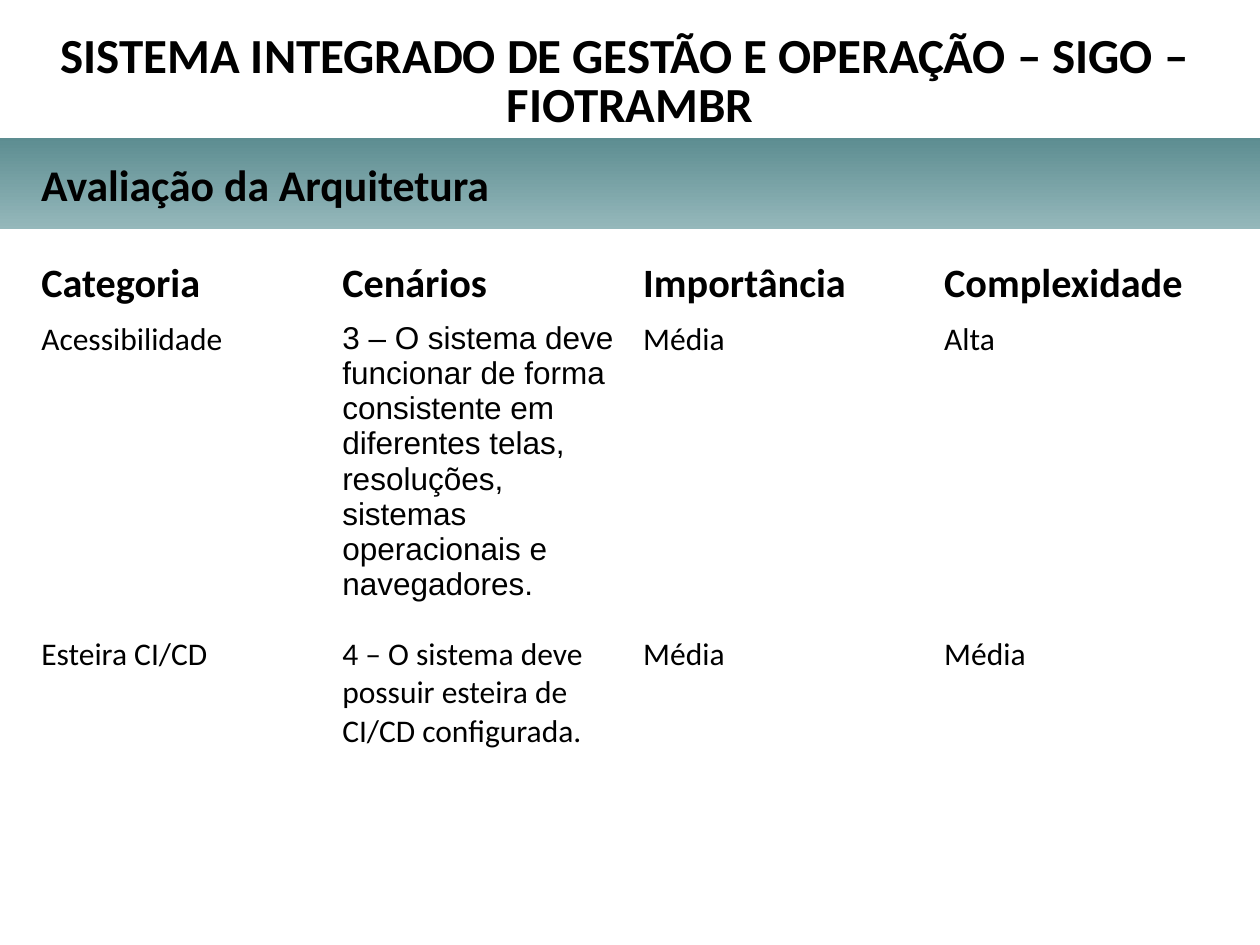
from lxml import etree
from pptx import Presentation
from pptx.dml.color import RGBColor
from pptx.enum import shapes, text
from pptx.oxml import ns
from pptx.util import Pt

BLACK = RGBColor(0x00, 0x00, 0x00)
TEAL_LIGHT = RGBColor(0x95, 0xB8, 0xBB)
TEAL_DARK = RGBColor(0x5D, 0x8D, 0x91)
WHITE = RGBColor(0xFF, 0xFF, 0xFF)


def add_text(paragraph, content, size, bold=False, font="Calibri"):
    run = paragraph.add_run()
    run.text = content
    run.font.name = font
    run.font.size = Pt(size)
    run.font.bold = bold
    run.font.color.rgb = BLACK


def set_border(cell, side, width):
    line = etree.SubElement(cell._tc.get_or_add_tcPr(), ns.qn("a:" + side), w=str(Pt(width)))
    fill = etree.SubElement(line, ns.qn("a:solidFill"))
    etree.SubElement(fill, ns.qn("a:srgbClr"), val=str(WHITE))


presentation = Presentation()
presentation.slide_width, presentation.slide_height = Pt(720), Pt(540)
slide = presentation.slides.add_slide(presentation.slide_layouts[6])

# Gradient band
band = slide.shapes.add_shape(shapes.MSO_SHAPE.RECTANGLE, Pt(0), Pt(79), Pt(720), Pt(52))
band.shadow.inherit = False
band.line.fill.background()
band.fill.gradient()
band.fill.gradient_angle = 90
for stop, color, position in zip(band.fill.gradient_stops, (TEAL_LIGHT, TEAL_DARK), (0, 1)):
    stop.color.rgb = color
    stop.position = position

# Section heading
heading = slide.shapes.add_textbox(Pt(16.4), Pt(86.4), Pt(687.6), Pt(37)).text_frame
heading.word_wrap = True
add_text(heading.paragraphs[0], "Avaliação da Arquitetura", 25, True)

# Slide title
title = slide.shapes.add_textbox(Pt(0), Pt(15.8), Pt(720), Pt(63.4)).text_frame
title.word_wrap = True
title_lines = ["SISTEMA INTEGRADO DE GESTÃO E OPERAÇÃO – SIGO – ", "FIOTRAMBR"]
for index, content in enumerate(title_lines):
    paragraph = title.add_paragraph() if index else title.paragraphs[0]
    paragraph.alignment = text.PP_ALIGN.CENTER
    paragraph.line_spacing = Pt(28)
    add_text(paragraph, content, 28, True)

# Scenario table
rows = [
    ("Categoria", "Cenários", "Importância", "Complexidade"),
    ("Acessibilidade",
     "3 – O sistema deve funcionar de forma consistente em diferentes telas, "
     "resoluções, sistemas operacionais e navegadores.",
     "Média", "Alta"),
    ("Esteira CI/CD", "4 – O sistema deve possuir esteira de CI/CD configurada.",
     "Média", "Média"),
]
row_heights = (30.2, 168.5, 62)
table = slide.shapes.add_table(
    len(rows), 4, Pt(16.4), Pt(144.7), Pt(688), Pt(sum(row_heights))).table
for column in table.columns:
    column.width = Pt(172)
for row_index, (contents, height) in enumerate(zip(rows, row_heights)):
    table.rows[row_index].height = Pt(height)
    is_header = row_index == 0
    for column_index, content in enumerate(contents):
        cell = table.cell(row_index, column_index)
        for side in ("lnL", "lnR", "lnT", "lnB"):
            set_border(cell, side, 3 if is_header and side == "lnB" else 0.96)
        cell.fill.background()
        font = "Arial" if (row_index, column_index) == (1, 1) else "Calibri"
        add_text(cell.text_frame.paragraphs[0], content, 23 if is_header else 18, is_header, font)

presentation.save("out.pptx")
